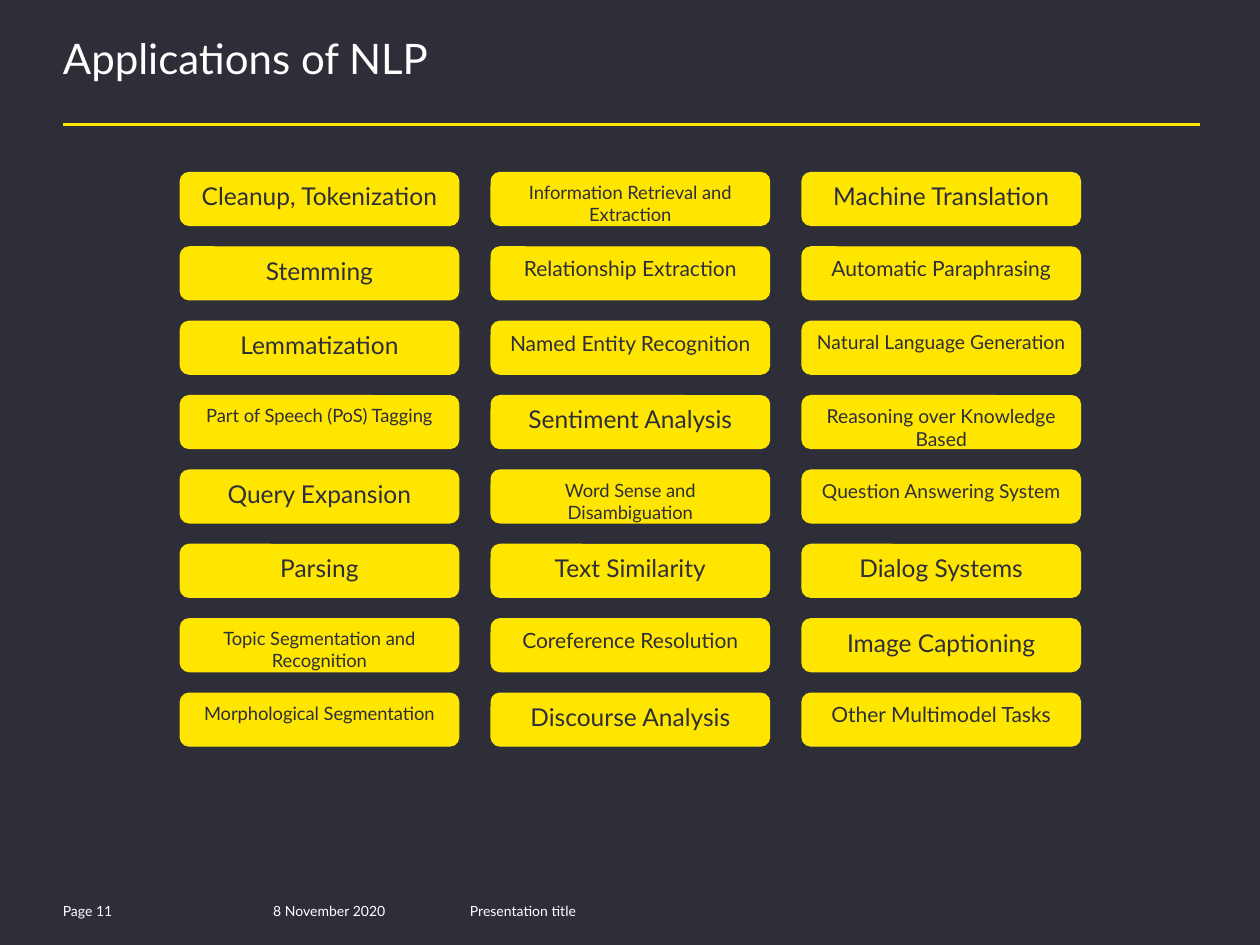
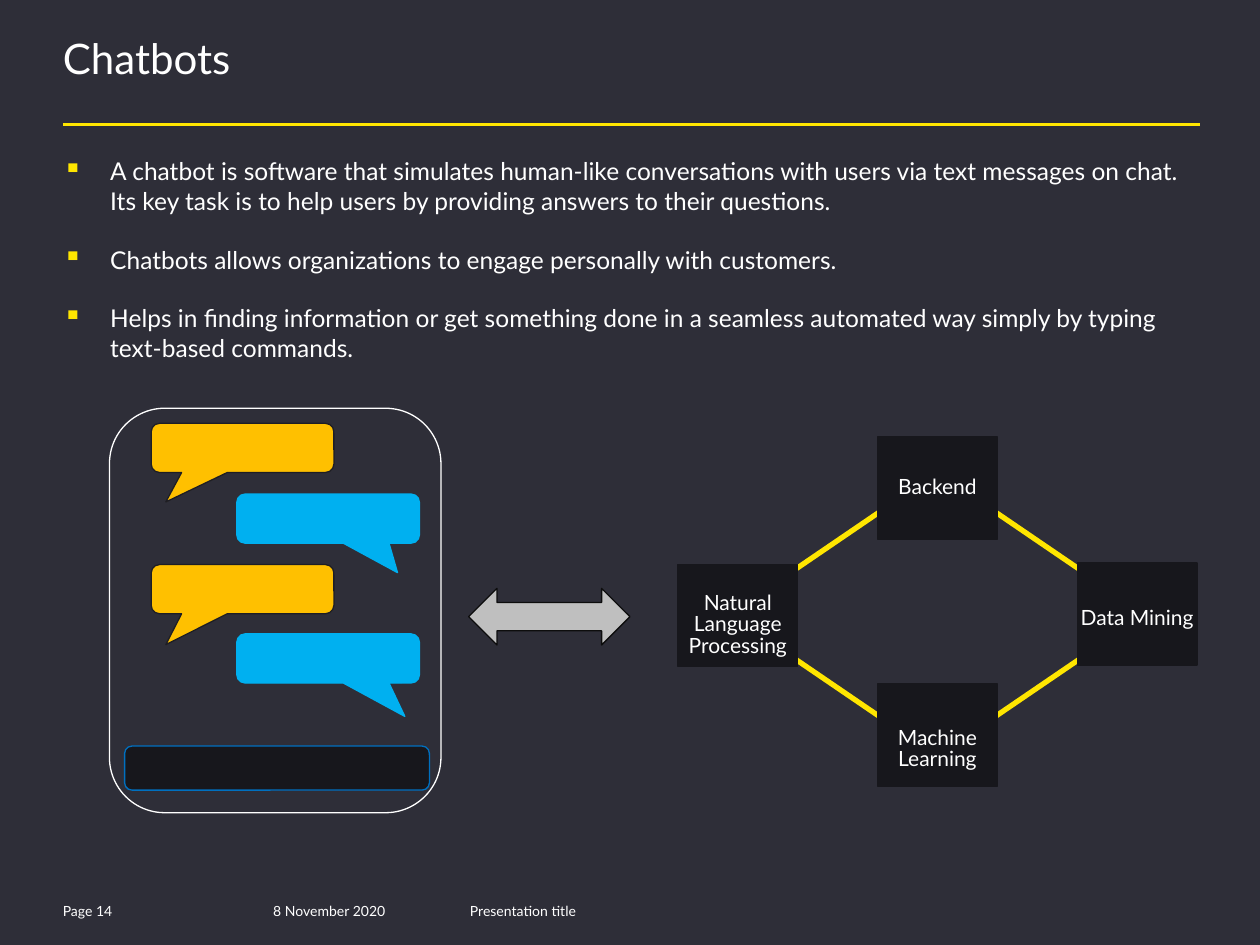
from dataclasses import dataclass
from typing import NamedTuple

from lxml.etree import SubElement
from pptx import Presentation
from pptx.dml.color import RGBColor
from pptx.enum.shapes import MSO_CONNECTOR, MSO_SHAPE
from pptx.enum.text import MSO_ANCHOR, PP_ALIGN
from pptx.oxml.ns import qn
from pptx.util import Pt


@dataclass(frozen=True)
class Theme:
    font: str = "Lato"
    background: str = "2E2E38"
    accent: str = "FFE600"
    light: str = "FFFFFF"
    node: str = "17171C"
    bot_bubble: str = "FFC000"
    bot_outline: str = "1E1E24"
    user_bubble: str = "00B0F0"
    input_outline: str = "0070C0"
    arrow: str = "BFBFBF"
    arrow_outline: str = "0D0D0D"
    title_size: float = 24
    large_size: float = 14
    medium_size: float = 12
    small_size: float = 11
    tiny_size: float = 10.5
    footer_size: float = 8
    tight_spacing: float = 0.85
    hairline: float = 0.75
    rule_width: float = 1.5
    link_width: float = 3


class Box(NamedTuple):
    left: float
    top: float
    width: float
    height: float

    def inner(self, left, top, width, height):
        return Box(self.left + left, self.top + top, width, height)

    def lengths(self):
        return [Pt(length) for length in self]


THEME = Theme()
SLIDE = Box(0, 0, 720, 540)
TITLE = Box(36, 23, 648, 46.8)
RULE = Box(36, 71.3, 650, 0)
FOOTER = Box(28.8, 513.4, 476, 14.4)
TILE_GRID = Box(103, 98.6, 514.4, 327.7)
BULLETS = Box(36, 89.3, 648, 128.2)
PHONE = Box(62.6, 233.3, 189.4, 231.1)
EXCHANGE_ARROW = Box(267.8, 336.2, 92.2, 32.4)
NETWORK = Box(387.4, 249.8, 296.6, 199.4)

APPLICATIONS = [
    [
        ("Cleanup, Tokenization", THEME.large_size),
        ("Stemming", THEME.large_size),
        ("Lemmatization", THEME.large_size),
        ("Part of Speech (PoS) Tagging", THEME.tiny_size),
        ("Query Expansion", THEME.large_size),
        ("Parsing", THEME.large_size),
        ("Topic Segmentation and Recognition", THEME.tiny_size),
        ("Morphological Segmentation", THEME.tiny_size),
    ],
    [
        ("Information Retrieval and Extraction", THEME.tiny_size),
        ("Relationship Extraction", THEME.medium_size),
        ("Named Entity Recognition", THEME.medium_size),
        ("Sentiment Analysis", THEME.large_size),
        ("Word Sense and Disambiguation", THEME.tiny_size),
        ("Text Similarity", THEME.large_size),
        ("Coreference Resolution", THEME.medium_size),
        ("Discourse Analysis", THEME.large_size),
    ],
    [
        ("Machine Translation", THEME.large_size),
        ("Automatic Paraphrasing", THEME.medium_size),
        ("Natural Language Generation", THEME.small_size),
        ("Reasoning over Knowledge Based", THEME.small_size),
        ("Question Answering System", THEME.small_size),
        ("Dialog Systems", THEME.large_size),
        ("Image Captioning", THEME.large_size),
        ("Other Multimodel Tasks", THEME.medium_size),
    ],
]

CHATBOT_POINTS = [
    "A chatbot is software that simulates human-like conversations with users via "
    "text messages on chat. Its key task is to help users by providing answers to "
    "their questions.",
    "Chatbots allows organizations to engage personally with customers.",
    "Helps in finding information or get something done in a seamless automated way "
    "simply by typing text-based commands.",
]


def color(value):
    return RGBColor.from_string(value)


def format_paragraph(paragraph, size, text_color, alignment=PP_ALIGN.LEFT):
    paragraph.alignment = alignment
    for run in paragraph.runs:
        run.font.name = THEME.font
        run.font.size = Pt(size)
        run.font.color.rgb = color(text_color)


def add_text(shapes, box, text, size, insets=(0, 0, 0, 0), anchor=MSO_ANCHOR.TOP,
             alignment=PP_ALIGN.LEFT):
    text_frame = shapes.add_textbox(*box.lengths()).text_frame
    text_frame.word_wrap = True
    text_frame.vertical_anchor = anchor
    (text_frame.margin_left, text_frame.margin_top,
     text_frame.margin_right, text_frame.margin_bottom) = map(Pt, insets)
    text_frame.text = text
    for paragraph in text_frame.paragraphs:
        format_paragraph(paragraph, size, THEME.light, alignment)
    return text_frame


def add_preset(shapes, kind, box, fill, outline, width=THEME.hairline, adjustments=()):
    shape = shapes.add_shape(kind, *box.lengths())
    shape.shadow.inherit = False
    if fill:
        shape.fill.solid()
        shape.fill.fore_color.rgb = color(fill)
    else:
        shape.fill.background()
    shape.line.color.rgb = color(outline)
    shape.line.width = Pt(width)
    for index, adjustment in enumerate(adjustments):
        shape.adjustments[index] = adjustment
    return shape


def add_footer(shapes, box, page):
    fields = [
        (0, 52.6, f"Page {page}"),
        (120.2, 93.6, "8 November 2020"),
        (232.6, 243.4, "Presentation title"),
    ]
    for left, width, text in fields:
        add_text(shapes, box.inner(left, 0, width, box.height), text,
                 THEME.footer_size, (7.2, 3.6, 7.2, 3.6), MSO_ANCHOR.MIDDLE)


def add_rule(shapes, box):
    rule = shapes.add_connector(
        MSO_CONNECTOR.STRAIGHT, Pt(box.left), Pt(box.top),
        Pt(box.left + box.width), Pt(box.top + box.height))
    rule.line.color.rgb = color(THEME.accent)
    rule.line.width = Pt(THEME.rule_width)
    SubElement(rule._element.spPr, qn("a:effectLst"))


def add_titled_slide(presentation, title, page):
    slide = presentation.slides.add_slide(presentation.slide_layouts[6])
    slide.background.fill.solid()
    slide.background.fill.fore_color.rgb = color(THEME.background)
    add_footer(slide.shapes, FOOTER, page)
    add_rule(slide.shapes, RULE)
    text_frame = add_text(slide.shapes, TITLE, title, THEME.title_size)
    text_frame.paragraphs[0].line_spacing = THEME.tight_spacing
    return slide


def add_tile_grid(shapes, box, columns):
    tile_width, tile_height = 159.1, 30.2
    column_step = (box.width - tile_width) / (len(columns) - 1)
    for column, tiles in enumerate(columns):
        row_step = (box.height - tile_height) / (len(tiles) - 1)
        for row, (label, size) in enumerate(tiles):
            place = box.inner(column * column_step, row * row_step,
                              tile_width, tile_height)
            tile = add_preset(shapes, MSO_SHAPE.ROUNDED_RECTANGLE, place,
                              THEME.accent, THEME.accent)
            text_frame = tile.text_frame
            text_frame.word_wrap = True
            text_frame.vertical_anchor = MSO_ANCHOR.TOP
            text_frame.text = label
            format_paragraph(text_frame.paragraphs[0], size, THEME.background,
                             PP_ALIGN.CENTER)


def add_bullets(shapes, box, points):
    text_frame = add_text(shapes, box, "\n".join(points), THEME.large_size)
    for index, paragraph in enumerate(text_frame.paragraphs):
        properties = paragraph._p.get_or_add_pPr()
        properties.set("marL", str(Pt(27)))
        properties.set("indent", str(-Pt(27)))
        bullet_color = SubElement(properties, qn("a:buClr"))
        SubElement(bullet_color, qn("a:srgbClr"), val=THEME.accent)
        SubElement(properties, qn("a:buSzPct"), val="110000")
        SubElement(properties, qn("a:buChar"), char="▪")
        if index:
            paragraph.space_before = Pt(16.8)


def add_phone(shapes, box):
    phone = shapes.add_group_shape().shapes
    add_preset(phone, MSO_SHAPE.ROUNDED_RECTANGLE, box, None, THEME.light)
    add_preset(phone, MSO_SHAPE.ROUNDED_RECTANGLE, box.inner(8.6, 193, 174.2, 25.2),
               THEME.node, THEME.input_outline)
    bot = (23.8, THEME.bot_bubble, THEME.bot_outline)
    user = (72.7, THEME.user_bubble, THEME.user_bubble)
    messages = [
        (bot, 8.6, -0.42, 1.1),
        (user, 49, 0.38, 1.1),
        (bot, 89.3, -0.42, 1.13),
        (user, 128.9, 0.42, 1.18),
    ]
    for (left, fill, outline), top, tail_x, tail_y in messages:
        add_preset(phone, MSO_SHAPE.ROUNDED_RECTANGULAR_CALLOUT,
                   box.inner(left, top, 104.4, 28.1), fill, outline,
                   adjustments=(tail_x, tail_y, 0.17))


def add_network(shapes, box):
    network = shapes.add_group_shape().shapes
    node_width, node_height = 68.4, 58.3
    right = box.width - node_width
    center = right / 2
    bottom = box.height - node_height
    add_preset(network, MSO_SHAPE.DIAMOND, box.inner(29.5, 20.2, 237.6, 162),
               None, THEME.accent, THEME.link_width)
    nodes = [
        ("Natural Language Processing", 0, 72.7, 13.7, 36),
        ("Data Mining", right, 72, 23, 13.7),
        ("Machine Learning", center, bottom, 22.3, 24.5),
        ("Backend", center, 0, 20.2, 13.7),
    ]
    for label, left, top, label_top, label_height in nodes:
        node = box.inner(left, top, node_width, node_height)
        add_preset(network, MSO_SHAPE.RECTANGLE, node, THEME.node, THEME.node)
        text_frame = add_text(
            network, node.inner(0, label_top, node_width, label_height), label,
            THEME.medium_size, (0, 2.9, 0, 0), alignment=PP_ALIGN.CENTER)
        paragraph = text_frame.paragraphs[0]
        paragraph.line_spacing = THEME.tight_spacing
        paragraph.space_after = Pt(6)


def build_applications(presentation):
    slide = add_titled_slide(presentation, "Applications of NLP", 11)
    add_tile_grid(slide.shapes, TILE_GRID, APPLICATIONS)


def build_chatbots(presentation):
    slide = add_titled_slide(presentation, "Chatbots", 14)
    add_bullets(slide.shapes, BULLETS, CHATBOT_POINTS)
    add_network(slide.shapes, NETWORK)
    add_phone(slide.shapes, PHONE)
    add_preset(slide.shapes, MSO_SHAPE.LEFT_RIGHT_ARROW, EXCHANGE_ARROW,
               THEME.arrow, THEME.arrow_outline)


def main():
    presentation = Presentation()
    presentation.slide_width = Pt(SLIDE.width)
    presentation.slide_height = Pt(SLIDE.height)
    build_applications(presentation)
    build_chatbots(presentation)
    presentation.save("out.pptx")


if __name__ == "__main__":
    main()
